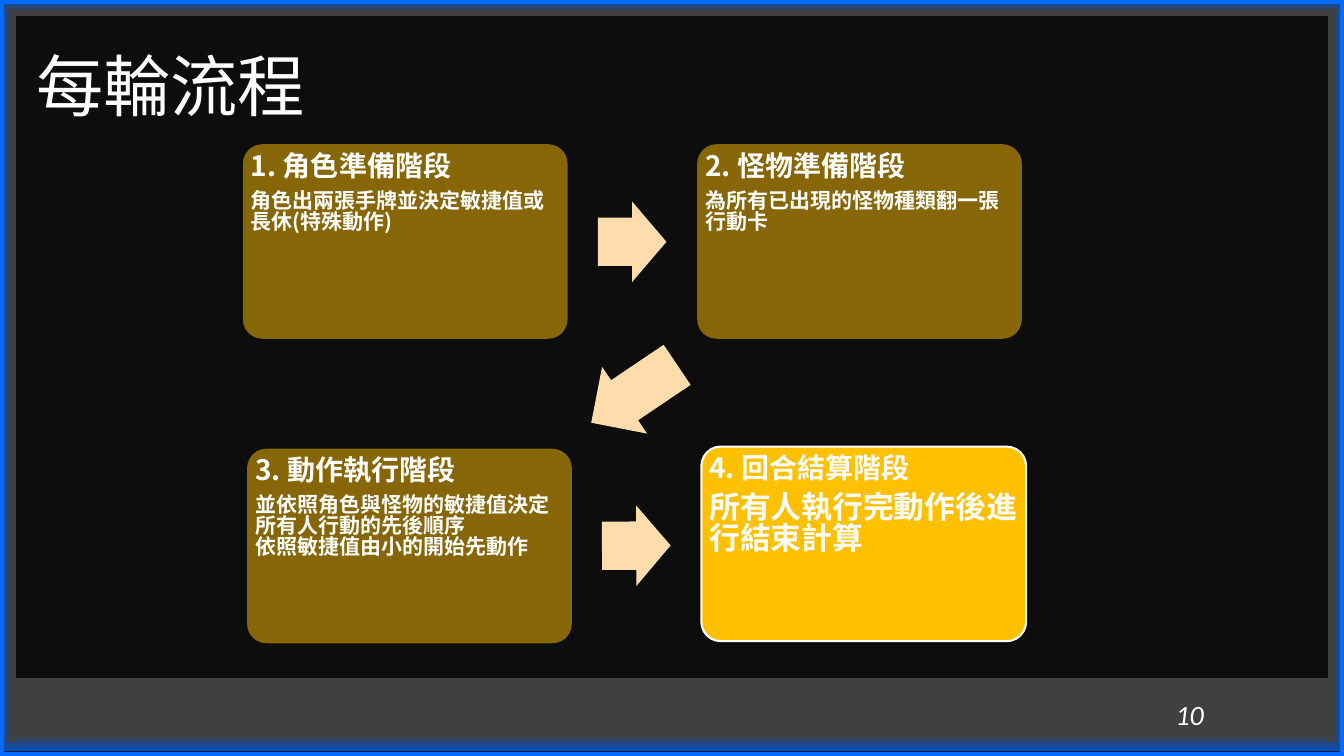
import lxml.etree
import pptx
import pptx.dml.color
import pptx.enum.shapes
import pptx.enum.text
import pptx.oxml.ns
import pptx.util

Pt = pptx.util.Pt
RGBColor = pptx.dml.color.RGBColor
SHAPE = pptx.enum.shapes.MSO_SHAPE
ALIGN = pptx.enum.text.PP_ALIGN
ANCHOR = pptx.enum.text.MSO_ANCHOR
qn = pptx.oxml.ns.qn

BLACK = RGBColor(0x0D, 0x0D, 0x0D)
WHITE = RGBColor(0xFF, 0xFF, 0xFF)
GRAY = RGBColor(0x40, 0x40, 0x40)
DEEP_BLUE = RGBColor(0x00, 0x4F, 0xC3)
FRAME_BLUE = RGBColor(0x05, 0x6A, 0xFF)
AMBER = RGBColor(0xFF, 0xC0, 0x00)
PEACH = RGBColor(0xFF, 0xDC, 0xAB)
CJK_FONT = "Noto Sans CJK SC"
WIDTH, HEIGHT = 960, 540


def write(paragraph, text, size, font=CJK_FONT, bold=False, italic=False,
          align=ALIGN.LEFT, line_spacing=None, space_after=0):
    paragraph.text = text
    paragraph.alignment = align
    paragraph.line_spacing = line_spacing
    paragraph.space_after = Pt(space_after)
    for run in paragraph.runs:
        run.font.size = Pt(size)
        run.font.bold = bold
        run.font.italic = italic
        run.font.color.rgb = WHITE
        run.font.name = font
        east_asian = lxml.etree.SubElement(run.font._element, qn("a:ea"))
        east_asian.set("typeface", font)


def add_shape(kind, left, top, width, height, color=None):
    shape = slide.shapes.add_shape(kind, Pt(left), Pt(top), Pt(width), Pt(height))
    shape.shadow.inherit = False
    shape.line.fill.background()
    if color is not None:
        shape.fill.solid()
        shape.fill.fore_color.rgb = color
    return shape


presentation = pptx.Presentation()
presentation.slide_width = Pt(WIDTH)
presentation.slide_height = Pt(HEIGHT)
slide = presentation.slides.add_slide(presentation.slide_layouts[6])
slide.background.fill.solid()
slide.background.fill.fore_color.rgb = BLACK

# Gradient bars along the edges: left, top, width, height, angle, gray stop
BARS = [
    (0, 484, WIDTH, 52.5, 90, 0.21),
    (0, 0, WIDTH, 11.5, 270, 0.72),
    (0, 7, 11.5, 522, 0, 0.72),
    (948.5, 7, 11.5, 522, 180, 0.72),
]
bars = []
for left, top, width, height, angle, gray_stop in BARS:
    bar = add_shape(SHAPE.RECTANGLE, left, top, width, height)
    bar.fill.gradient()
    bar.fill.gradient_angle = angle
    blue, gray = bar.fill.gradient_stops
    blue.color.rgb, blue.position = DEEP_BLUE, 0
    gray.color.rgb, gray.position = GRAY, gray_stop
    bars.append(bar)

# Page number in the footer bar
footer = bars[0].text_frame
footer.margin_right = Pt(100)
footer.vertical_anchor = ANCHOR.MIDDLE
write(footer.paragraphs[0], "10", 20, font="Calibri", italic=True, align=ALIGN.RIGHT)

# Thin outer frame
EDGE = 3
builder = slide.shapes.build_freeform(0, 0, scale=Pt(1))
builder.add_line_segments([(WIDTH, 0), (WIDTH, HEIGHT), (0, HEIGHT)])
builder.move_to(EDGE, EDGE)
builder.add_line_segments([(EDGE, HEIGHT - EDGE), (WIDTH - EDGE, HEIGHT - EDGE),
                           (WIDTH - EDGE, EDGE)])
frame = builder.convert_to_shape()
frame.shadow.inherit = False
frame.fill.solid()
frame.fill.fore_color.rgb = FRAME_BLUE
frame.line.fill.background()

# Title
title = slide.shapes.add_textbox(Pt(26), Pt(25), Pt(893), Pt(78)).text_frame
title.word_wrap = True
title.vertical_anchor = ANCHOR.MIDDLE
title.margin_left = title.margin_right = title.margin_top = title.margin_bottom = 0
write(title.paragraphs[0], "每輪流程", 48, line_spacing=0.9)

# Phase cards: left, top, heading, body, body size, current phase
CARDS = [
    (173.5, 103, "1. 角色準備階段", "角色出兩張手牌並決定敏捷值或\v長休(特殊動作)", 15, False),
    (498, 103, "2. 怪物準備階段", "為所有已出現的怪物種類翻一張行動卡", 15, False),
    (176.5, 320.5, "3. 動作執行階段",
     "並依照角色與怪物的敏捷值決定所有人行動的先後順序\v依照敏捷值由小的開始先動作", 15, False),
    (501, 319, "4. 回合結算階段", "所有人執行完動作後進行結束計算", 22, True),
]
for left, top, heading, body, body_size, current in CARDS:
    card = add_shape(SHAPE.ROUNDED_RECTANGLE, left, top, 232, 139, AMBER)
    card.adjustments[0] = 0.1
    if current:
        card.line.color.rgb = WHITE
        card.line.width = Pt(1.5)
    else:
        color = card.fill._xPr.find(qn("a:solidFill"))[0]
        lxml.etree.SubElement(color, qn("a:alpha")).set("val", "50000")
    text = card.text_frame
    text.word_wrap = True
    text.vertical_anchor = ANCHOR.TOP
    text.margin_left = text.margin_right = text.margin_top = text.margin_bottom = Pt(1.7)
    write(text.paragraphs[0], heading, 20, bold=True, line_spacing=0.9, space_after=6.5)
    write(text.add_paragraph(), body, body_size, bold=True, line_spacing=0.83)

# Arrows between phases: left, top, width, rotation
ARROWS = [(427, 144, 49, 0), (416, 252.5, 74, 146), (430, 361, 49, 359.7)]
for left, top, width, rotation in ARROWS:
    arrow = add_shape(SHAPE.RIGHT_ARROW, left, top, width, 57.5, PEACH)
    arrow.adjustments[0] = 0.6
    arrow.adjustments[1] = 0.5
    arrow.rotation = rotation

presentation.save("out.pptx")
